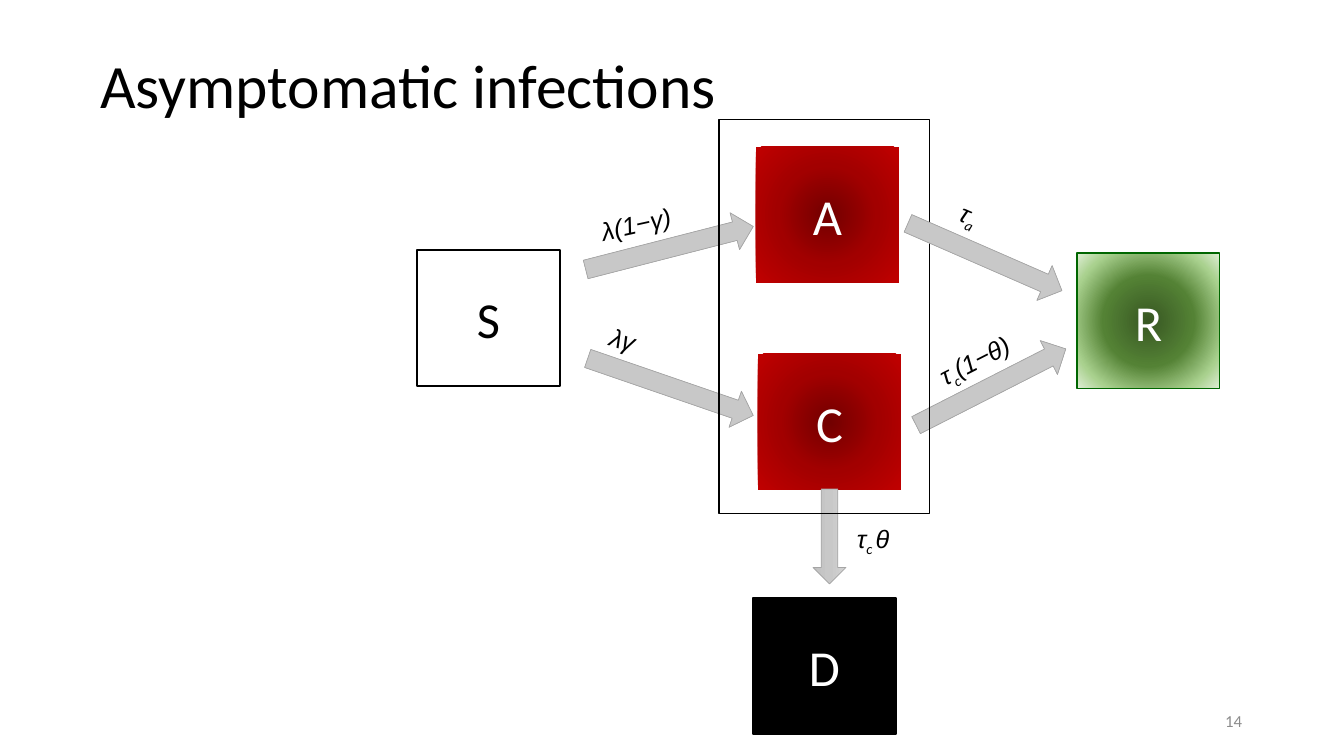
import pptx
import pptx.util
import pptx.oxml
import pptx.oxml.ns
from pptx.dml.color import RGBColor
from pptx.enum.shapes import MSO_SHAPE
from pptx.enum.text import MSO_ANCHOR, PP_ALIGN

PX = 12192000 / 1344  # EMU in one px
BLACK = RGBColor(0x00, 0x00, 0x00)
WHITE = RGBColor(0xFF, 0xFF, 0xFF)
GREY = RGBColor(0x8C, 0x8C, 0x8C)
ARROW_LINE = RGBColor(0xA5, 0xA5, 0xA5)
GREEN_LINE = RGBColor(0x00, 0x66, 0x00)
# Gradients: (position in percent, colour); radial ones run from the centre out
RED = [(0, RGBColor(0x72, 0x00, 0x00)), (50, RGBColor(0xA2, 0x00, 0x00)),
       (100, RGBColor(0xC0, 0x00, 0x00))]
GREEN = [(0, RGBColor(0x38, 0x57, 0x23)), (46, RGBColor(0x54, 0x82, 0x35)),
         (79, RGBColor(0xA9, 0xD1, 0x8E)), (100, RGBColor(0xE2, 0xF0, 0xD9))]
SILVER = [(0, RGBColor(0xD2, 0xD2, 0xD2)), (50, RGBColor(0xC8, 0xC8, 0xC8)),
          (100, RGBColor(0xC0, 0xC0, 0xC0))]
RADIAL = ('<a:path path="circle"><a:fillToRect l="50000" t="50000" '
          'r="50000" b="50000"/></a:path>')
DOWNWARD = '<a:lin ang="5400000" scaled="0"/>'

TITLE = "Asymptomatic infections"
TITLE_BOX = (90, 16, 1159, 146)
PAGE = "14"
PAGE_BOX = (950, 701, 302, 40)
INFECTED_FRAME = (719, 120, 211, 394)

# letter, left, top, fill, line colour, line width, letter colour
STATE_SIZE = (143, 136)
STATES = [
    ("S", 417, 250, WHITE, BLACK, 1, BLACK),
    ("R", 1077, 253, GREEN, GREEN_LINE, 0.75, WHITE),
    ("C", 758, 354, RED, None, 0, WHITE),
    ("D", 753, 598, BLACK, BLACK, 1, WHITE),
    ("A", 756, 147, RED, None, 0, WHITE),
]
# box, rotation
ARROWS = [
    ((583, 229, 173, 38), 345.6),
    ((907, 368, 168, 38), 333),
    ((782, 520, 95, 33), 90),
    ((583, 368, 175, 38), 19),
]
RECOVERY_ARROW = ((901, 238, 168, 38), 23.6)
# text (subscripts between underscores), box, rotation
RATES = [
    ("λ(1−γ)", (590, 196, 162, 40), 347.6),
    ("τ_c_(1−θ)", (925, 332, 130, 40), 333),
    ("τ_c _θ", (847, 518, 110, 40), 0),
    ("λγ", (597, 343, 199, 40), 17.9),
    ("τ_a_", (947, 213, 130, 40), 23.6),
]


def emu(box):
    return [round(v * PX) for v in box]


def set_text(sp, text, size, color=BLACK, font="Calibri", italic=False,
             align=PP_ALIGN.LEFT, anchor=MSO_ANCHOR.TOP):
    """Fill sp with one paragraph; every second part between underscores is a subscript."""
    tf = sp.text_frame
    tf.word_wrap = True
    tf.vertical_anchor = anchor
    p = tf.paragraphs[0]
    p.alignment = align
    for i, part in enumerate(text.split("_")):
        if not part:
            continue
        r = p.add_run()
        r.text = part
        r.font.size = pptx.util.Pt(size)
        r.font.color.rgb = color
        r.font.italic = italic
        r.font.name = "Calibri" if i % 2 else font
        if i % 2:
            r.font._element.set("baseline", "-25000")
    return p


def set_gradient(sp, stops, direction):
    sp.fill.background()
    gs = "".join(f'<a:gs pos="{pos * 1000}"><a:srgbClr val="{color}"/></a:gs>'
                 for pos, color in stops)
    grad = pptx.oxml.parse_xml(
        f'<a:gradFill {pptx.oxml.ns.nsdecls("a")} rotWithShape="1">'
        f'<a:gsLst>{gs}</a:gsLst>{direction}</a:gradFill>')
    sp_pr = sp._element.spPr
    sp_pr.replace(sp_pr.find(pptx.oxml.ns.qn("a:noFill")), grad)


def add_shape(slide, kind, box, fill=None, line=None, width=0,
              direction=RADIAL, rotation=0):
    sp = slide.shapes.add_shape(kind, *emu(box))
    sp.shadow.inherit = False
    sp.rotation = rotation
    if fill is None:
        sp.fill.background()
    elif isinstance(fill, RGBColor):
        sp.fill.solid()
        sp.fill.fore_color.rgb = fill
    else:
        set_gradient(sp, fill, direction)
    if line is None:
        sp.line.fill.background()
    else:
        sp.line.color.rgb = line
        sp.line.width = pptx.util.Pt(width)
    return sp


def add_arrow(slide, box, rotation):
    add_shape(slide, MSO_SHAPE.RIGHT_ARROW, box, SILVER, ARROW_LINE, 0.5,
              DOWNWARD, rotation)


def main():
    prs = pptx.Presentation()
    prs.slide_width, prs.slide_height = emu((1344, 756))
    slide = prs.slides.add_slide(prs.slide_layouts[5])

    title = slide.shapes.title
    title.left, title.top, title.width, title.height = emu(TITLE_BOX)
    p = set_text(title, TITLE, 44, anchor=MSO_ANCHOR.MIDDLE)
    p.line_spacing = 0.9

    for letter, left, top, fill, line, width, color in STATES:
        sp = add_shape(slide, MSO_SHAPE.RECTANGLE, (left, top, *STATE_SIZE),
                       fill, line, width)
        set_text(sp, letter, 36, color, align=PP_ALIGN.CENTER,
                 anchor=MSO_ANCHOR.MIDDLE)

    for box, rotation in ARROWS:
        add_arrow(slide, box, rotation)
    add_shape(slide, MSO_SHAPE.RECTANGLE, INFECTED_FRAME, line=BLACK, width=0.75)
    add_arrow(slide, *RECOVERY_ARROW)

    for text, box, rotation in RATES:
        sp = slide.shapes.add_textbox(*emu(box))
        sp.rotation = rotation
        set_text(sp, text, 18, font="Arial", italic=True)

    sp = slide.shapes.add_textbox(*emu(PAGE_BOX))
    set_text(sp, PAGE, 12, GREY, align=PP_ALIGN.RIGHT, anchor=MSO_ANCHOR.MIDDLE)
    prs.save("out.pptx")


if __name__ == "__main__":
    main()
